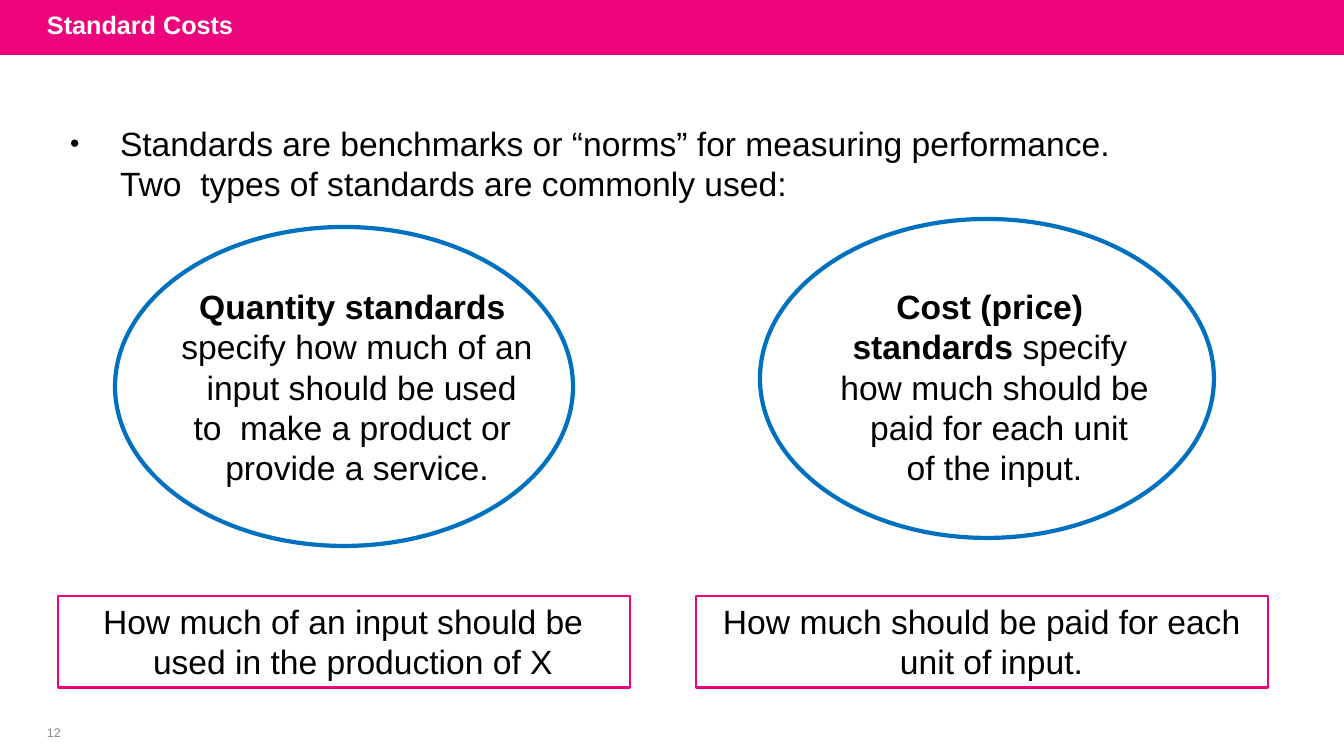
"""Build the Standard Costs slide with two kinds of standards."""
from lxml.etree import SubElement
from pptx import Presentation
from pptx.dml.color import RGBColor
from pptx.enum.shapes import MSO_SHAPE as Shape
from pptx.enum.text import MSO_ANCHOR as Anchor, MSO_AUTO_SIZE as AutoSize, PP_ALIGN as Align
from pptx.oxml.ns import qn
from pptx.util import Pt

PX = 914400 / 100.8
COLORS = {"pink": "ED037C", "blue": "0070C0", "black": "000000", "white": "FFFFFF", "gray": "8C8C8C"}


def box(*lengths):
    return [round(length * PX) for length in lengths]


def write(shape, paragraphs, size=24, color="black", align=Align.LEFT, anchor=Anchor.TOP,
          margins=(0, 2, 0, 0), margin=0, indent=0, bullet=None):
    frame = shape.text_frame
    frame.word_wrap = True
    frame.auto_size = AutoSize.NONE
    frame.vertical_anchor = anchor
    frame.margin_left, frame.margin_top, frame.margin_right, frame.margin_bottom = box(*margins)
    for index, runs in enumerate(paragraphs):
        paragraph = frame.add_paragraph() if index else frame.paragraphs[0]
        properties = paragraph._p.get_or_add_pPr()
        properties.set("marL", str(round(margin * PX)))
        properties.set("indent", str(round(indent * PX)))
        if bullet:
            SubElement(properties, qn("a:buSzPct")).set("val", "79000")
            SubElement(properties, qn("a:buChar")).set("char", bullet)
        paragraph.alignment = align
        paragraph.space_before = Pt(0)
        paragraph.font.name = "Arial"
        paragraph.font.size = Pt(size)
        paragraph.font.color.rgb = RGBColor.from_string(COLORS[color])
        for text, bold in runs:
            run = paragraph.add_run()
            run.text = text
            run.font.bold = bold


presentation = Presentation()
presentation.slide_width, presentation.slide_height = box(1344, 756)
slide = presentation.slides.add_slide(presentation.slide_layouts[1])
shapes = slide.shapes

header = shapes.add_shape(Shape.RECTANGLE, *box(0, 0, 1344, 55))
header.shadow.inherit = False
header.fill.solid()
header.fill.fore_color.rgb = RGBColor.from_string(COLORS["pink"])
header.line.fill.background()
shapes._spTree.insert(2, header._element)

title, body = shapes.title, slide.placeholders[1]
title.left, title.top, title.width, title.height = box(37, -3, 1058, 55)
write(title, [[("Standard Costs", True)]], size=18, color="white", anchor=Anchor.MIDDLE,
      margins=(10, 5, 10, 5))
body.left, body.top, body.width, body.height = box(69, 121, 1080, 84)
write(body, [[("Standards are benchmarks or “norms” for measuring performance. "
               "Two  types of standards are commonly used:", False)]],
      margin=51, indent=-50, bullet="•")

standards = [
    ((115, 227, 458, 319), (180, 284, 354, 205),
     [[("Quantity standards  ", True),
       ("specify how much of an  input should be used to  make a product or  provide a service.", False)]]),
    ((760, 219, 454, 319), (839, 284, 311, 205),
     [[("Cost (price)  standards ", True), ("specify  how much should be  paid for each unit", False)],
      [("of the input.", False)]]),
]
for oval_box, text_box, paragraphs in standards:
    oval = shapes.add_shape(Shape.OVAL, *box(*oval_box))
    oval.shadow.inherit = False
    oval.fill.background()
    oval.line.color.rgb = RGBColor.from_string(COLORS["blue"])
    oval.line.width = Pt(3)
    write(shapes.add_textbox(*box(*text_box)), paragraphs, align=Align.CENTER)

questions = [
    (58, "How much of an input should be used in the production of X", 95, -50),
    (696, "How much should be paid for each unit of input.", 204, -177),
]
for left, question, margin, indent in questions:
    frame_box = shapes.add_shape(Shape.RECTANGLE, *box(left, 596, 572, 92))
    frame_box.shadow.inherit = False
    frame_box.fill.background()
    frame_box.line.color.rgb = RGBColor.from_string(COLORS["pink"])
    frame_box.line.width = Pt(2)
    write(frame_box, [[(question, False)]], margins=(0, 5, 0, 0), margin=margin, indent=indent)

page_number = shapes.add_textbox(*box(26, 720, 52, 24))
write(page_number, [[("12", False)]], size=9, color="gray", align=Align.CENTER,
      anchor=Anchor.MIDDLE, margins=(0, 0, 0, 0), margin=4)

presentation.save("out.pptx")
